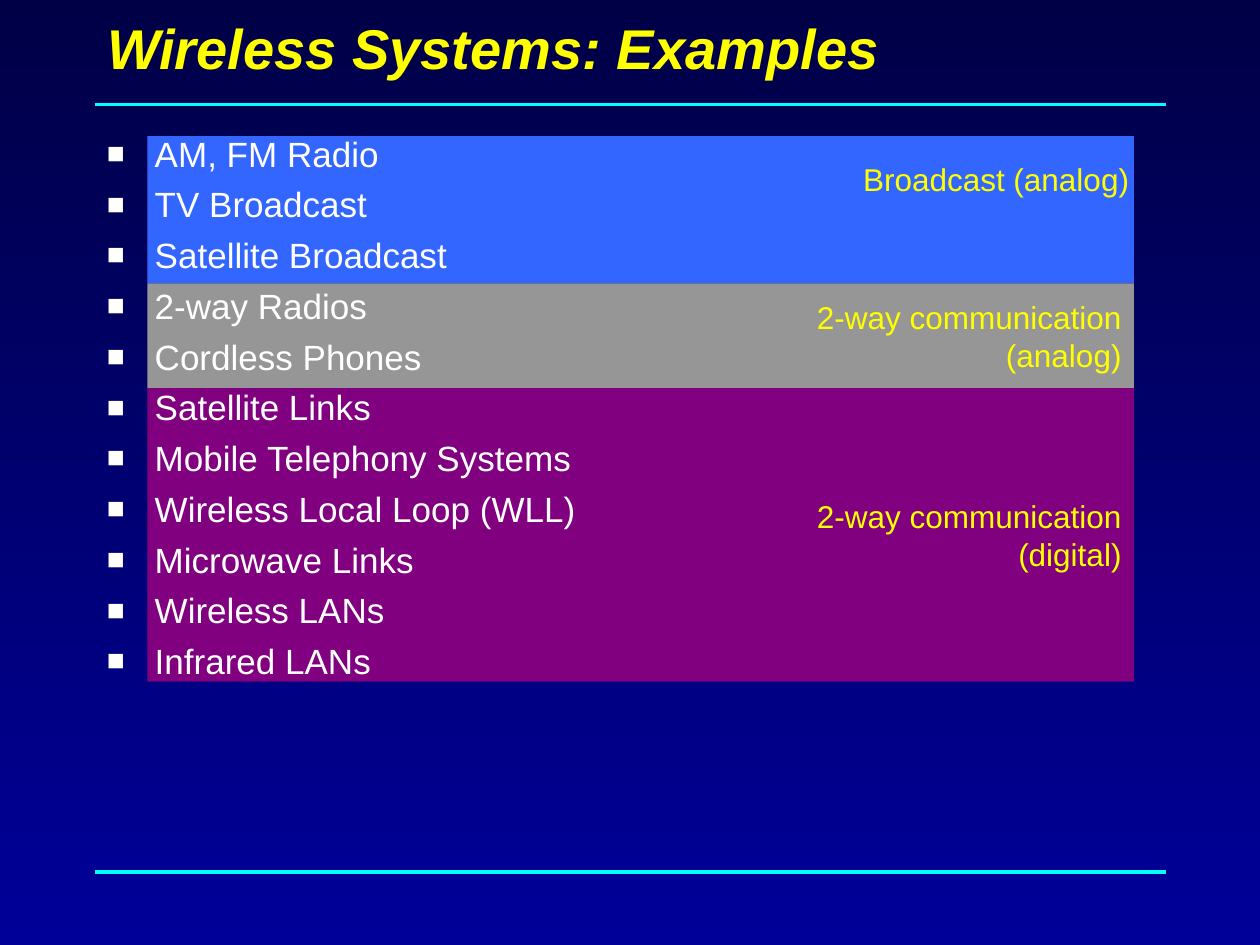
from lxml import etree
from pptx import Presentation
from pptx.dml.color import RGBColor
from pptx.enum.shapes import MSO_CONNECTOR as Connector, MSO_SHAPE as Shape
from pptx.enum.text import MSO_ANCHOR as Anchor, PP_ALIGN as Align
from pptx.oxml.ns import qn
from pptx.util import Inches, Pt

COLORS = {
    "top": "000046", "bottom": "000099", "rule": "00FFFF", "accent": "FFFF00",
    "text": "FFFFFF", "broadcast": "3366FF", "analog": "969696", "digital": "800080",
}
SYSTEMS = [
    "AM, FM Radio", "TV Broadcast", "Satellite Broadcast", "2-way Radios",
    "Cordless Phones", "Satellite Links", "Mobile Telephony Systems",
    "Wireless Local Loop (WLL)", "Microwave Links", "Wireless LANs", "Infrared LANs",
]
# Colour name, height in inches, label lines
BANDS = [
    ("broadcast", 1.17, []),
    ("analog", 0.83, ["2-way communication", "(analog)"]),
    ("digital", 2.33, ["2-way communication", "(digital)"]),
]


def color(name):
    """Return the named colour."""
    return RGBColor.from_string(COLORS[name])


def write(frame, lines, size, color_name, align=Align.LEFT):
    """Write one paragraph per line and return the paragraphs."""
    frame.word_wrap = True
    for number, line in enumerate(lines):
        paragraph = frame.add_paragraph() if number else frame.paragraphs[0]
        paragraph.text = line
        paragraph.alignment = align
        paragraph.font.name = "Arial"
        paragraph.font.size = Pt(size)
        paragraph.font.color.rgb = color(color_name)
    return frame.paragraphs


def set_background(slide):
    """Fill the background with a gradient running from top to bottom."""
    fill = slide.background.fill
    fill.gradient()
    fill.gradient_angle = 270
    for stop, position, name in zip(fill.gradient_stops, (0, 1), ("top", "bottom")):
        stop.position = position
        stop.color.rgb = color(name)


def add_rule(slide, top):
    """Draw a horizontal rule across the slide."""
    rule = slide.shapes.add_connector(
        Connector.STRAIGHT, Inches(0.75), Inches(top), Inches(9.25), Inches(top))
    rule.line.color.rgb = color("rule")
    rule.line.width = Pt(2)
    etree.SubElement(rule._element.spPr, qn("a:effectLst"))


def add_band(slide, top, height, name, label):
    """Add a coloured band with its label at the right."""
    band = slide.shapes.add_shape(
        Shape.RECTANGLE, Inches(1.17), Inches(top), Inches(7.83), Inches(height))
    band.shadow.inherit = False
    band.fill.solid()
    band.fill.fore_color.rgb = color(name)
    band.line.fill.background()
    band.text_frame.vertical_anchor = Anchor.MIDDLE
    write(band.text_frame, label, 18, "accent", Align.RIGHT)


def add_text(slide, left, top, width, height):
    """Add a text box and return its text frame."""
    return slide.shapes.add_textbox(
        Inches(left), Inches(top), Inches(width), Inches(height)).text_frame


def add_bullet(paragraph):
    """Give the paragraph a hanging square bullet."""
    properties = paragraph._p.get_or_add_pPr()
    properties.set("marL", str(Inches(0.38)))
    properties.set("indent", str(-Inches(0.38)))
    bullet_color = etree.Element(qn("a:buClr"))
    etree.SubElement(bullet_color, qn("a:srgbClr"), val=COLORS["text"])
    size = etree.Element(qn("a:buSzPct"), val="85000")
    font = etree.Element(qn("a:buFont"), typeface="Arial")
    character = etree.Element(qn("a:buChar"), char="■")
    defaults = properties.find(qn("a:defRPr"))
    for element in (bullet_color, size, font, character):
        defaults.addprevious(element)


def set_title(slide, text):
    """Place and format the title."""
    title = slide.shapes.title
    title.left, title.top = Inches(0.75), Inches(0)
    title.width, title.height = Inches(8.5), Inches(0.75)
    title.text_frame.vertical_anchor = Anchor.MIDDLE
    font = write(title.text_frame, [text], 32, "accent")[0].font
    font.bold = font.italic = True


def add_systems(slide):
    """Add the bulleted list of systems."""
    frame = add_text(slide, 0.75, 1, 4.17, 5.83)
    for paragraph in write(frame, SYSTEMS, 20, "text"):
        paragraph.line_spacing = Pt(24)
        paragraph.space_before = Pt(5)
        add_bullet(paragraph)


def main():
    """Build the slide and save it."""
    presentation = Presentation()
    presentation.slide_width, presentation.slide_height = Inches(10), Inches(7.5)
    slide = presentation.slides.add_slide(presentation.slide_layouts[5])
    set_background(slide)
    for top in (0.83, 6.92):
        add_rule(slide, top)
    top = 1.08
    for name, height, label in BANDS:
        add_band(slide, top, height, name, label)
        top += height
    write(add_text(slide, 6.75, 1.22, 2.31, 0.4),
          ["Broadcast (analog)"], 18, "accent", Align.RIGHT)
    set_title(slide, "Wireless Systems: Examples")
    add_systems(slide)
    presentation.save("out.pptx")


main()
